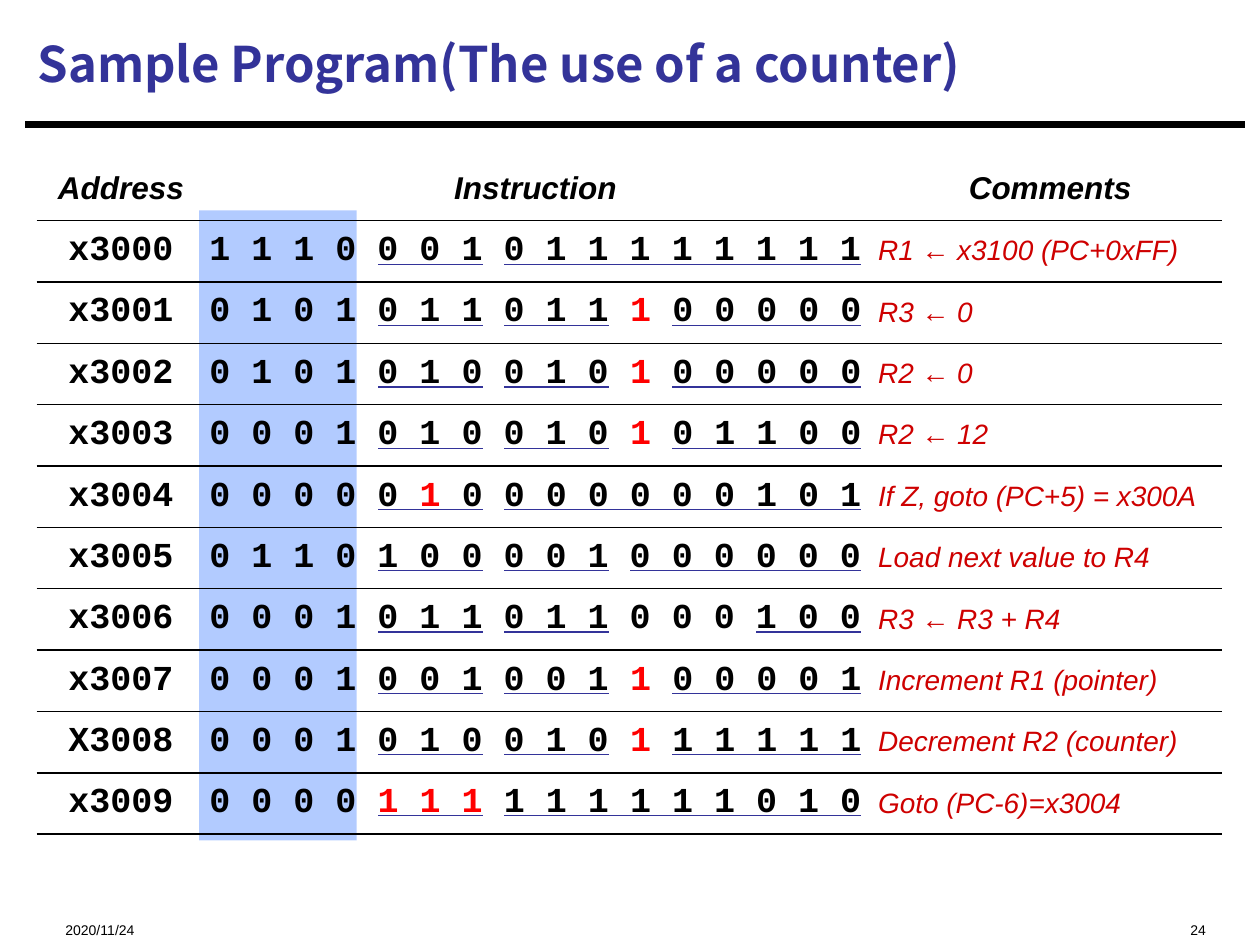
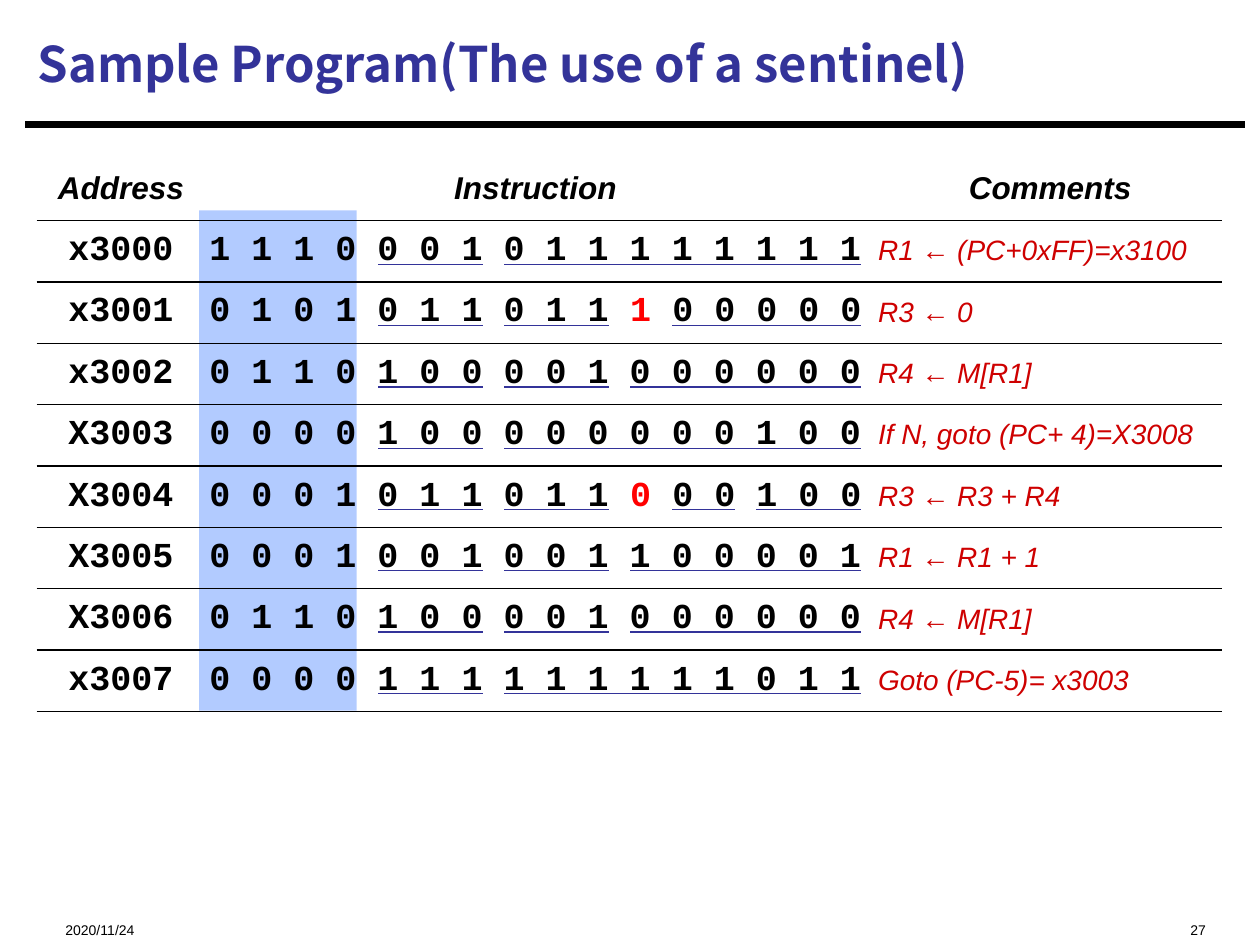
from itertools import groupby

from lxml import etree
from pptx import Presentation
from pptx import util as u
from pptx.dml.color import RGBColor
from pptx.enum import shapes, text
from pptx.oxml import parse_xml
from pptx.oxml.ns import nsdecls, qn

INK, BLUE, HIGHLIGHT = "000000", "333399", "6699FF"
COMMENT, RED = "CE0000", "FF0000"
SANS, MONO, TITLE_FONT = "Arial", "Courier New", "Noto Sans CJK SC"
NO_STYLE = "{2D5ABB26-0587-4C30-8999-92F81FD0307C}"
CENTER, LEFT, RIGHT = text.PP_ALIGN.CENTER, text.PP_ALIGN.LEFT, text.PP_ALIGN.RIGHT

HEADERS = ("Address", "Instruction", "Comments")
COL_WIDTHS = (1.24, 5.34, 2.83)
TABLE_LEFT, TABLE_TOP = 0.29, 1.25
ROW_H = 5.36 / 11
BIT_LEFT, BIT_PITCH = 1.67, 1 / 3
UNDERLINE_TOP, UNDERLINE_STEP = 2.1, 0.486

# In an instruction, [ ] marks an underlined field and * a red bit.
COUNTER = [
    ("x3000", "1110 [001] [011111111]", "R1 ← x3100 (PC+0xFF)"),
    ("x3001", "0101 [011] [011] *1 [00000]", "R3 ← 0"),
    ("x3002", "0101 [010] [010] *1 [00000]", "R2 ← 0"),
    ("x3003", "0001 [010] [010] *1 [01100]", "R2 ← 12"),
    ("x3004", "0000 [0*10] [000000101]", "If Z, goto (PC+5) = x300A"),
    ("x3005", "0110 [100] [001] [000000]", "Load next value to R4"),
    ("x3006", "0001 [011] [011] 000 [100]", "R3 ← R3 + R4"),
    ("x3007", "0001 [001] [001] *1 [00001]", "Increment R1 (pointer)"),
    ("X3008", "0001 [010] [010] *1 [11111]", "Decrement R2 (counter)"),
    ("x3009", "0000 [*1*1*1] [111111010]", "Goto (PC-6)=x3004"),
]
SENTINEL = [
    ("x3000", "1110 [001] [011111111]", "R1 ← (PC+0xFF)=x3100"),
    ("x3001", "0101 [011] [011] *1 [00000]", "R3 ← 0"),
    ("x3002", "0110 [100] [001] [000000]", "R4 ← M[R1]"),
    ("X3003", "0000 [100] [000000100]", "If N, goto (PC+ 4)=X3008"),
    ("X3004", "0001 [011] [011] *0 [00] [100]", "R3 ← R3 + R4"),
    ("X3005", "0001 [001] [001] [100001]", "R1 ← R1 + 1"),
    ("X3006", "0110 [100] [001] [000000]", "R4 ← M[R1]"),
    ("x3007", "0000 [111] [111111011]", "Goto (PC-5)= x3003"),
]


def rgb(color):
    return RGBColor.from_string(color)


def style(p, size, font, color=INK, bold=False, italic=False, align=LEFT):
    p.alignment = align
    f = p.font
    f.size, f.name, f.bold, f.italic = u.Pt(size), font, bold, italic
    f.color.rgb = rgb(color)


def add_text(s, box, content, anchor, top_inset, **fmt):
    tf = s.shapes.add_textbox(*map(u.Inches, box)).text_frame
    tf.word_wrap = True
    tf.vertical_anchor = anchor
    tf.margin_top, tf.margin_bottom = u.Inches(top_inset), 0
    p = tf.paragraphs[0]
    p.text = content
    style(p, **fmt)
    return p


def add_line(s, x1, x2, y, color, width):
    line = s.shapes.add_connector(
        shapes.MSO_CONNECTOR.STRAIGHT, *map(u.Inches, (x1, y, x2, y)))
    line.line.color.rgb = rgb(color)
    line.line.width = u.Pt(width)
    etree.SubElement(line._element.spPr, qn("a:effectLst"))


def add_frame(s, title, number):
    """Title, heavy rule, date and slide number."""
    add_line(s, 0.2, 9.88, 0.99, INK, 3.75)
    p = add_text(s, (0.2, 0.08, 9.67, 0.84), title, text.MSO_ANCHOR.MIDDLE, 0,
                 size=28, font=TITLE_FONT, color=BLUE, bold=True)
    ea = etree.SubElement(p.runs[0]._r.get_or_add_rPr(), qn("a:ea"))
    ea.set("typeface", TITLE_FONT)
    for left, width, content, align in ((0.42, 2.5, "2020/11/24", LEFT),
                                        (6.67, 3, str(number), RIGHT)):
        add_text(s, (left, 7.15, width, 0.27), content, text.MSO_ANCHOR.TOP,
                 0.19, size=8, font=SANS, align=align)


def add_highlight(s, height):
    """Translucent band behind the opcode bits."""
    sp = s.shapes.add_shape(shapes.MSO_SHAPE.RECTANGLE,
                            *map(u.Inches, (1.58, 1.67, 1.25, height)))
    sp.shadow.inherit = False
    sp.line.fill.background()
    sp.fill.solid()
    sp.fill.fore_color.rgb = rgb(HIGHLIGHT)
    fill = sp._element.spPr.find(qn("a:solidFill"))
    etree.SubElement(fill[0], qn("a:alpha")).set("val", "50000")


def format_cell(cell, header=False):
    cell.vertical_anchor = text.MSO_ANCHOR.MIDDLE
    cell.margin_left = u.Inches(0.1)
    cell.margin_top = cell.margin_bottom = 0
    cell.margin_right = 0
    if header:
        cell.margin_top = cell.margin_bottom = u.Inches(0.1)
        cell.margin_right = 0
    cell.fill.background()
    cell._tc.get_or_add_tcPr().insert(0, parse_xml(
        f'<a:lnB {nsdecls("a")} w="12700"><a:solidFill>'
        f'<a:srgbClr val="{INK}"/></a:solidFill></a:lnB>'))


def read_instruction(code):
    """Return (bit, is_red) pairs and (first, end) spans of underlined fields."""
    bits, fields, start, red = [], [], 0, False
    for ch in code:
        if ch == "[":
            start = len(bits)
        elif ch == "]":
            fields.append((start, len(bits)))
        elif ch == "*":
            red = True
        elif ch in "01":
            bits.append((ch, red))
            red = False
    return bits, fields


def write_bits(p, bits):
    style(p, 20, MONO, bold=True, align=CENTER)
    groups = [(red, " ".join(bit for bit, _ in group))
              for red, group in groupby(bits, key=lambda b: b[1])]
    for i, (red, digits) in enumerate(groups):
        r = p.add_run()
        r.text = digits + (" " if i < len(groups) - 1 else "")
        if red:
            r.font.color.rgb = rgb(RED)


def add_program_table(s, program):
    n_rows = len(program) + 1
    frame = s.shapes.add_table(n_rows, len(HEADERS), *map(
        u.Inches, (TABLE_LEFT, TABLE_TOP, sum(COL_WIDTHS), n_rows * ROW_H)))
    table = frame.table
    table.first_row = table.horz_banding = False
    table._tbl.tblPr.find(qn("a:tableStyleId")).text = NO_STYLE
    for col, width in zip(table.columns, COL_WIDTHS):
        col.width = u.Inches(width)
    for row in table.rows:
        row.height = u.Inches(ROW_H)

    for cell, name in zip(table.rows[0].cells, HEADERS):
        format_cell(cell, header=True)
        cell.text = name
        style(cell.text_frame.paragraphs[0], 18, SANS,
              bold=True, italic=True, align=CENTER)

    for i, (address, code, comment) in enumerate(program):
        cells = list(table.rows[i + 1].cells)
        for cell in cells:
            format_cell(cell)
        p_address, p_bits, p_comment = (
            cell.text_frame.paragraphs[0] for cell in cells)
        p_address.text = address
        style(p_address, 20, MONO, bold=True, align=CENTER)
        p_comment.text = comment
        style(p_comment, 16, SANS, COMMENT, italic=True)
        bits, fields = read_instruction(code)
        write_bits(p_bits, bits)
        for first, end in fields:
            add_line(s, BIT_LEFT + first * BIT_PITCH,
                     BIT_LEFT + (end - 0.5) * BIT_PITCH,
                     UNDERLINE_TOP + i * UNDERLINE_STEP, BLUE, 0.75)


def add_program_slide(prs, title, number, program, highlight_height):
    s = prs.slides.add_slide(prs.slide_layouts[6])
    add_frame(s, title, number)
    add_highlight(s, highlight_height)
    add_program_table(s, program)


def main():
    prs = Presentation()
    prs.slide_width, prs.slide_height = u.Inches(10), u.Inches(7.5)
    add_program_slide(prs, "Sample Program(The use of a counter)", 24, COUNTER, 5)
    add_program_slide(prs, "Sample Program(The use of a sentinel)", 27, SENTINEL, 3.97)
    prs.save("out.pptx")


if __name__ == "__main__":
    main()
